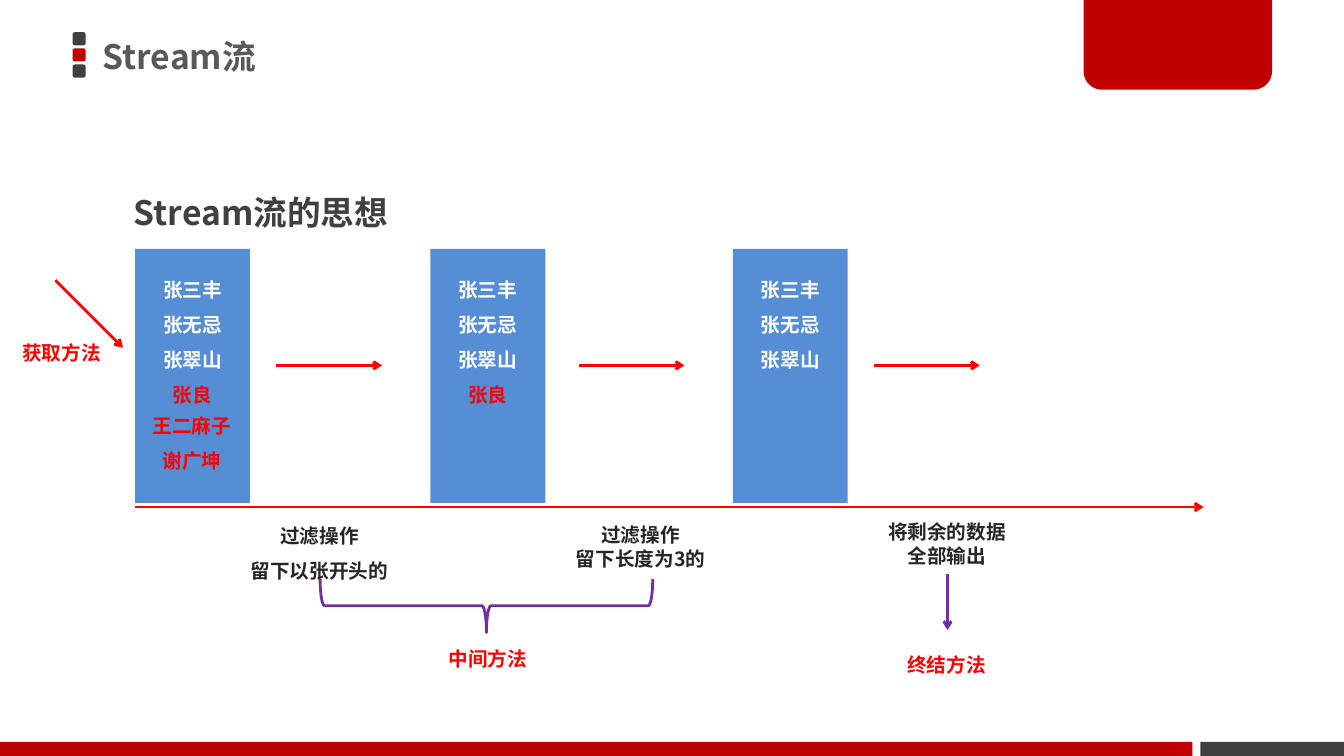
import math
from dataclasses import dataclass

import pptx
import pptx.dml.color
import pptx.enum.shapes
import pptx.enum.text
import pptx.oxml
import pptx.oxml.ns
import pptx.util

PRESET = pptx.enum.shapes.MSO_SHAPE
ALIGN = pptx.enum.text.PP_ALIGN
CELL = pptx.util.Inches(0.1)
COLUMNS, ROWS = 133.33, 75
JP, SC = "Noto Sans CJK JP", "Noto Sans CJK SC"
RED, DEEP_RED, PURPLE, BLUE = "FF0000", "C00000", "7030A0", "558ED5"
CHARCOAL, INK, WHITE = "404040", "262626", "FFFFFF"


@dataclass(frozen=True)
class Block:
    col: float
    row: float
    cols: float
    rows: float
    fill: str
    preset: int = PRESET.RECTANGLE


@dataclass(frozen=True)
class Label:
    col: float
    row: float
    cols: float
    rows: float
    lines: tuple[str, ...]
    color: str = RED
    size: int = 14
    font: str = JP
    spacing: float = 1.5
    align: int = ALIGN.CENTER
    wrap: bool = True
    middle: bool = False


@dataclass(frozen=True)
class Arrow:
    col: float
    row: float
    end_col: float
    end_row: float
    color: str = RED


@dataclass(frozen=True)
class Stage:
    col: float
    arrow_col: float
    rejected: tuple[Label, ...]


def cells(count: float) -> int:
    return round(count * CELL)


def paint(color_format, color: str) -> None:
    color_format.rgb = pptx.dml.color.RGBColor.from_string(color)


def fill_plain(shape, color: str) -> None:
    shape.shadow.inherit = False
    shape.fill.solid()
    paint(shape.fill.fore_color, color)
    shape.line.fill.background()


def draw_block(slide, block: Block) -> None:
    shape = slide.shapes.add_shape(
        block.preset, *map(cells, (block.col, block.row, block.cols, block.rows)))
    fill_plain(shape, block.fill)


def draw_label(slide, label: Label) -> None:
    box = slide.shapes.add_textbox(
        *map(cells, (label.col, label.row, label.cols, label.rows)))
    frame = box.text_frame
    frame.text = "\n".join(label.lines)
    frame.word_wrap = label.wrap
    if label.middle:
        frame.vertical_anchor = pptx.enum.text.MSO_ANCHOR.MIDDLE
    else:
        frame.auto_size = pptx.enum.text.MSO_AUTO_SIZE.SHAPE_TO_FIT_TEXT
    for paragraph in frame.paragraphs:
        paragraph.alignment = label.align
        paragraph.line_spacing = label.spacing
        for run in paragraph.runs:
            run.font.size = pptx.util.Pt(label.size)
            run.font.bold = True
            run.font.name = label.font
            paint(run.font.color, label.color)
            east_asian = pptx.oxml.ns.qn("a:ea")
            run.font._element.get_or_change_to_solidFill()
            latin = run.font._element.find(pptx.oxml.ns.qn("a:latin"))
            latin.addnext(latin.makeelement(east_asian, {"typeface": label.font}))


def draw_arrow(slide, arrow: Arrow) -> None:
    connector = slide.shapes.add_connector(
        pptx.enum.shapes.MSO_CONNECTOR.STRAIGHT,
        *map(cells, (arrow.col, arrow.row, arrow.end_col, arrow.end_row)))
    connector.line.width = pptx.util.Pt(2)
    paint(connector.line.color, arrow.color)
    outline = connector.line._get_or_add_ln()
    outline.append(outline.makeelement(pptx.oxml.ns.qn("a:tailEnd"), {"type": "arrow"}))
    properties = outline.getparent()
    properties.append(properties.makeelement(pptx.oxml.ns.qn("a:effectLst"), {}))


def draw_corner_tab(slide, left: float, right: float, bottom: float, radius: float) -> None:
    angles = [math.radians(step * 7.5) for step in range(13)]
    right_corner = [(right - radius + radius * math.cos(a),
                     bottom - radius + radius * math.sin(a)) for a in angles]
    left_corner = [(left + right - x, y) for x, y in reversed(right_corner)]
    outline = [*right_corner, *left_corner, (left, -0.3)]
    builder = slide.shapes.build_freeform(cells(right), cells(-0.3))
    builder.add_line_segments([(cells(x), cells(y)) for x, y in outline])
    fill_plain(builder.convert_to_shape(), DEEP_RED)


def draw_brace(slide, col: float, row: float, cols: float, rows: float) -> None:
    brace = slide.shapes.add_shape(
        PRESET.RIGHT_BRACE, *map(cells, (col, row, cols, rows)))
    brace.rotation = 90
    brace.shadow.inherit = False
    brace.fill.background()
    brace.line.width = pptx.util.Pt(2)
    paint(brace.line.color, PURPLE)


presentation = pptx.Presentation()
presentation.slide_width = cells(COLUMNS)
presentation.slide_height = cells(ROWS)
slide = presentation.slides.add_slide(presentation.slide_layouts[6])

for index, color in enumerate((CHARCOAL, DEEP_RED, CHARCOAL)):
    draw_block(slide, Block(7.2, 3.2 + 1.6 * index, 1.3, 1.3, color,
                            PRESET.ROUNDED_RECTANGLE))
draw_block(slide, Block(119.1, 73.6, COLUMNS - 119.1, 1.4, CHARCOAL))
draw_corner_tab(slide, 107.5, 126.2, 8.9, 1.85)
draw_block(slide, Block(0, 73.6, 118.3, 1.4, DEEP_RED))

STAGE_ROW, STAGE_COLS, STAGE_ROWS = 24.7, 11.4, 25.2
KEPT = ("张三丰", "张无忌", "张翠山")


def short_name(col: float) -> Label:
    return Label(col + 2.75, 36.3, 5.9, 4.2, ("张良",), wrap=False)


STAGES = (
    Stage(13.4, 27.4, (short_name(13.4),
                       Label(13.5, 39.4, 11.1, 7.7, ("王二麻子", "谢广坤")))),
    Stage(42.7, 57.4, (short_name(42.7),)),
    Stage(72.7, 86.7, ()),
)
for stage in STAGES:
    draw_block(slide, Block(stage.col, STAGE_ROW, STAGE_COLS, STAGE_ROWS, BLUE))
    draw_label(slide, Label(stage.col - 2.65, 25.9, 16.7, 11.2, KEPT, WHITE))
    for rejected in stage.rejected:
        draw_label(slide, rejected)
    draw_arrow(slide, Arrow(stage.arrow_col, 36.25, stage.arrow_col + 10.5, 36.25))

LABELS = (
    Label(9.2, -0.3, 78.5, 11.8, ("Stream流",), "595959", 24,
          spacing=1, align=ALIGN.LEFT, middle=True),
    Label(12.3, 16.5, 51.2, 6.4, ("Stream流的思想",), CHARCOAL, 24, SC,
          align=ALIGN.LEFT),
    Label(21.5, 50.3, 20.4, 7.7, ("过滤操作", "留下以张开头的"), INK),
    Label(51.9, 51.4, 23.3, 5.7, ("过滤操作", "留下长度为3的"), INK, spacing=1),
    Label(86.6, 51.1, 14.7, 5.7, ("将剩余的数据全部输出",), INK, spacing=1),
    Label(38.2, 62.5, 20.4, 4.2, ("中间方法",)),
    Label(83.7, 63.1, 20.4, 4.2, ("终结方法",)),
    Label(-4.1, 32.2, 20.4, 4.1, ("获取方法",), font=SC),
)
for label in LABELS:
    draw_label(slide, label)

draw_brace(slide, 45.6, 43.6, 5.3, 33)
for arrow in (
    Arrow(13.4, 50.3, 119.4, 50.3),
    Arrow(94, 56.9, 94, 62.5, PURPLE),
    Arrow(5.5, 27.8, 12.2, 34.5),
):
    draw_arrow(slide, arrow)

presentation.save("out.pptx")
